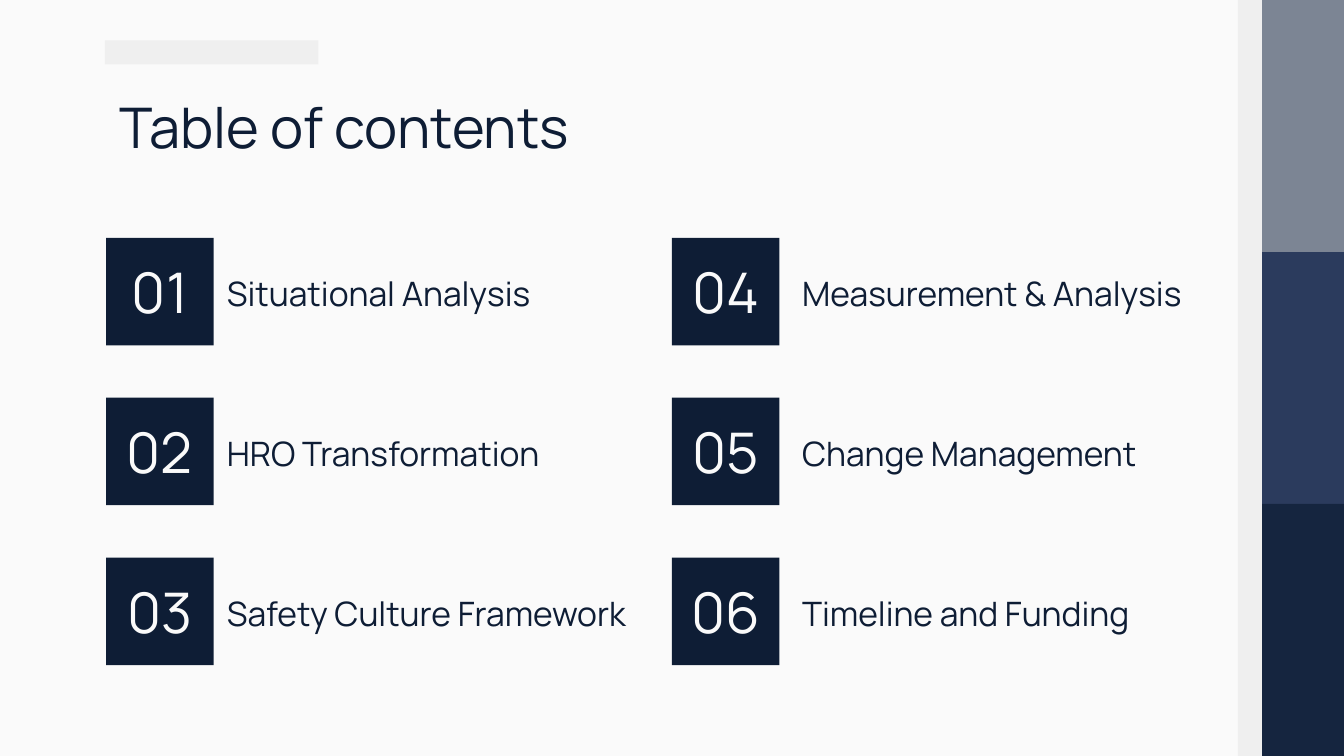
from dataclasses import dataclass
from pptx import Presentation
from pptx import util as u
from pptx.dml import color
from pptx.enum import shapes, text

Inches = u.Inches
WIDE = 10
HIGH = WIDE * 9 / 16


@dataclass(frozen=True)
class Theme:
    font: str = "Manrope"
    paper: str = "FAFAFA"
    navy: str = "0E1D35"
    pale: str = "EFEFEF"
    bands: tuple = ("7C8594", "2B3B5D", "15253F")
    head: int = 30
    label: int = 18


theme = Theme()
topics = (
    "Situational Analysis", "HRO Transformation", "Safety Culture Framework",
    "Measurement & Analysis", "Change Management", "Timeline and Funding",
)


def paint(fill, tint):
    fill.solid()
    fill.fore_color.rgb = color.RGBColor.from_string(tint)


def block(slide, box, tint):
    shape = slide.shapes.add_shape(
        shapes.MSO_SHAPE.RECTANGLE, *map(Inches, box))
    shape.shadow.inherit = False
    paint(shape.fill, tint)
    shape.line.fill.background()
    return shape


def write(shape, words, size, tint, center=False):
    frame = shape.text_frame
    frame.word_wrap = True
    frame.auto_size = text.MSO_AUTO_SIZE.NONE
    frame.margin_left = frame.margin_right = Inches(0.1)
    frame.margin_top = frame.margin_bottom = Inches(0.1)
    frame.vertical_anchor = (
        text.MSO_ANCHOR.MIDDLE if center else text.MSO_ANCHOR.TOP)
    para = frame.paragraphs[0]
    para.alignment = text.PP_ALIGN.CENTER if center else text.PP_ALIGN.LEFT
    run = para.add_run()
    run.text = words
    run.font.name = theme.font
    run.font.size = u.Pt(size)
    run.font.color.rgb = color.RGBColor.from_string(tint)


def sidebar(slide, box):
    left, top, width, height = box
    strip = 0.18
    step = height / len(theme.bands)
    for row, tint in enumerate(theme.bands):
        block(slide, (left + strip, top + row * step, width - strip, step), tint)
    block(slide, (left, top, strip, height), theme.pale)


def header(slide, box):
    left, top, width, height = box
    block(slide, (left, top, 1.59, 0.18), theme.pale)
    title = slide.shapes.title
    title.left, title.top = Inches(left + 0.01), Inches(top + 0.29)
    title.width, title.height = Inches(width - 0.01), Inches(height - 0.29)
    write(title, "Table of contents", theme.head, theme.navy)


def entry(slide, box, number, words, gap):
    left, top, width, side = box
    tile = block(slide, (left, top, side, side), theme.navy)
    write(tile, f"{number:02}", theme.head, theme.paper, center=True)
    start = side + gap
    label = slide.shapes.add_textbox(*map(
        Inches, (left + start, top + 0.16, width - start, 0.48)))
    write(label, words, theme.label, theme.navy)


def contents(slide, box):
    left, top, width, height = box
    rows, side = 3, 0.8
    pitch = (height - side) / (rows - 1)
    for index, words in enumerate(topics):
        col, row = divmod(index, rows)
        place = (left + col * 4.21, top + row * pitch, width / 2, side)
        entry(slide, place, index + 1, words, col * 0.07)


def main():
    deck = Presentation()
    deck.slide_width, deck.slide_height = Inches(WIDE), Inches(HIGH)
    slide = deck.slides.add_slide(deck.slide_layouts[5])
    paint(slide.background.fill, theme.paper)
    sidebar(slide, (9.21, 0, 0.79, HIGH))
    header(slide, (0.78, 0.3, 8.44, 0.92))
    contents(slide, (0.79, 1.77, 8.6, 3.18))
    deck.save("out.pptx")


if __name__ == "__main__":
    main()
